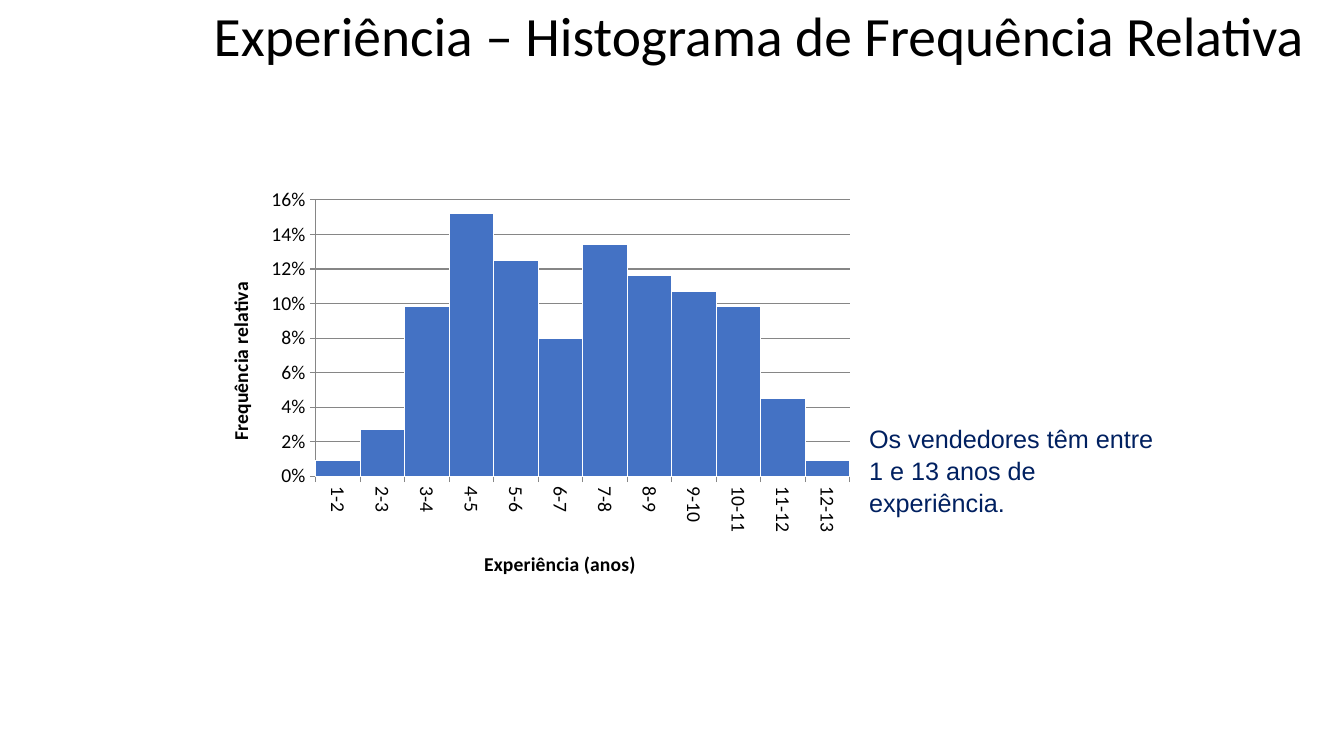
from dataclasses import dataclass

from lxml.etree import SubElement
from pptx import Presentation
from pptx.chart.axis import _BaseAxis
from pptx.chart.chart import Chart
from pptx.chart.data import CategoryChartData
from pptx.dml.color import RGBColor
from pptx.enum.chart import XL_CHART_TYPE, XL_TICK_MARK
from pptx.enum.text import MSO_ANCHOR, MSO_AUTO_SIZE, PP_ALIGN
from pptx.oxml.ns import qn
from pptx.slide import Slide
from pptx.text.text import Font
from pptx.util import Inches, Pt

SLIDE_WIDTH, SLIDE_HEIGHT = Inches(13.33), Inches(7.5)


@dataclass(frozen=True)
class Theme:
    black: RGBColor = RGBColor(0x00, 0x00, 0x00)
    white: RGBColor = RGBColor(0xFF, 0xFF, 0xFF)
    navy: RGBColor = RGBColor(0x00, 0x20, 0x60)
    bar: RGBColor = RGBColor(0x44, 0x72, 0xC4)
    axis: RGBColor = RGBColor(0x86, 0x86, 0x86)
    heading_font: str = "Calibri"
    note_font: str = "Arial"
    title_size: float = 39.6
    note_size: float = 18
    chart_size: float = 14


@dataclass(frozen=True)
class Area:
    """Position and size in percent of the slide."""
    left: float
    top: float
    width: float
    height: float

    def lengths(self) -> tuple[int, int, int, int]:
        return (int(SLIDE_WIDTH * self.left / 100), int(SLIDE_HEIGHT * self.top / 100),
                int(SLIDE_WIDTH * self.width / 100), int(SLIDE_HEIGHT * self.height / 100))


@dataclass(frozen=True)
class AxisStyle:
    """Axis caption, with its corner as shares of the chart."""
    caption: str
    x: float
    y: float


THEME = Theme()
TITLE_AREA = Area(15.15, 1.73, 84.85, 6.8)
CHART_AREA = Area(15.15, 23.73, 49.06, 54.53)
NOTE_AREA = Area(63.92, 55.2, 23.63, 13.47)
YEARS_AXIS = AxisStyle("Experiência (anos)", 0.42, 0.89)
SHARE_AXIS = AxisStyle("Frequência relativa", 0.03, 0.24)
SHARES = (0.009, 0.027, 0.098, 0.152, 0.125, 0.08,
          0.134, 0.116, 0.107, 0.098, 0.045, 0.009)


def style_font(font: Font, name: str, size: float, color: RGBColor, bold: bool = False) -> None:
    font.name, font.size, font.bold = name, Pt(size), bold
    font.color.rgb = color


def set_layout(parent, **settings: str | float) -> None:
    """Place a chart part by hand."""
    layout = parent.find(qn("c:layout"))
    if layout is None:
        layout = SubElement(parent, qn("c:layout"))
        parent.insert(0, layout)
    manual = SubElement(layout, qn("c:manualLayout"))
    for tag, value in settings.items():
        SubElement(manual, qn(f"c:{tag}")).set("val", str(value))


def style_axis(axis: _BaseAxis, style: AxisStyle) -> None:
    axis.major_tick_mark = XL_TICK_MARK.OUTSIDE
    axis.minor_tick_mark = XL_TICK_MARK.NONE
    axis.format.line.color.rgb = THEME.axis
    axis.format.line.width = Pt(0.75)
    title = axis.axis_title
    title.text_frame.text = style.caption
    span = title.text_frame.paragraphs[0].runs[0]
    style_font(span.font, THEME.heading_font, THEME.chart_size, THEME.black, bold=True)
    set_layout(title._element, xMode="edge", yMode="edge", x=style.x, y=style.y)


def style_histogram(chart: Chart) -> None:
    chart.has_legend = False
    chart.has_title = False
    style_font(chart.font, THEME.heading_font, THEME.chart_size, THEME.black)

    # Touching bars with thin white borders
    plot = chart.plots[0]
    plot.gap_width = 0
    plot.vary_by_categories = False
    bars = plot.series[0].format
    bars.fill.solid()
    bars.fill.fore_color.rgb = THEME.bar
    bars.line.color.rgb = THEME.white
    bars.line.width = Pt(0.75)

    # Axes
    style_axis(chart.category_axis, YEARS_AXIS)
    style_axis(chart.value_axis, SHARE_AXIS)
    labels = chart.category_axis.tick_labels
    style_font(labels.font, THEME.heading_font, THEME.chart_size, THEME.black)
    text_body = chart.category_axis._element.find(qn("c:txPr")).find(qn("a:bodyPr"))
    text_body.set("rot", "5400000")
    text_body.set("vert", "horz")

    shares = chart.value_axis
    shares.minimum_scale, shares.maximum_scale, shares.major_unit = 0, 0.16, 0.02
    shares.tick_labels.number_format = "0%"
    shares.tick_labels.number_format_is_linked = False
    shares.has_major_gridlines = True
    shares.major_gridlines.format.line.color.rgb = THEME.axis
    shares.major_gridlines.format.line.width = Pt(0.75)

    plot_area = chart._chartSpace.find(qn("c:chart")).find(qn("c:plotArea"))
    set_layout(plot_area, layoutTarget="inner", xMode="edge", yMode="edge",
               x=0.17, y=0.05, w=0.81, h=0.67)


def add_title(slide: Slide) -> None:
    box = slide.shapes.title
    box.left, box.top, box.width, box.height = TITLE_AREA.lengths()
    frame = box.text_frame
    frame.text = "Experiência – Histograma de Frequência Relativa"
    frame.vertical_anchor = MSO_ANCHOR.MIDDLE
    frame.auto_size = MSO_AUTO_SIZE.NONE
    para = frame.paragraphs[0]
    para.alignment = PP_ALIGN.LEFT
    para.line_spacing = 0.9
    style_font(para.runs[0].font, THEME.heading_font, THEME.title_size, THEME.black)


def add_histogram(slide: Slide) -> None:
    data = CategoryChartData()
    data.categories = [f"{year}-{year + 1}" for year in range(1, len(SHARES) + 1)]
    data.add_series("Series 1", SHARES)
    frame = slide.shapes.add_chart(XL_CHART_TYPE.COLUMN_CLUSTERED, *CHART_AREA.lengths(), data)
    style_histogram(frame.chart)


def add_note(slide: Slide) -> None:
    frame = slide.shapes.add_textbox(*NOTE_AREA.lengths()).text_frame
    frame.word_wrap = True
    frame.auto_size = MSO_AUTO_SIZE.SHAPE_TO_FIT_TEXT
    frame.text = "Os vendedores têm entre 1 e 13 anos de experiência."
    para = frame.paragraphs[0]
    para.line_spacing = 1.05
    style_font(para.runs[0].font, THEME.note_font, THEME.note_size, THEME.navy)


def main() -> None:
    deck = Presentation()
    deck.slide_width, deck.slide_height = SLIDE_WIDTH, SLIDE_HEIGHT
    page = deck.slides.add_slide(deck.slide_layouts.get_by_name("Title Only"))
    add_title(page)
    add_histogram(page)
    add_note(page)
    deck.save("out.pptx")


if __name__ == "__main__":
    main()
